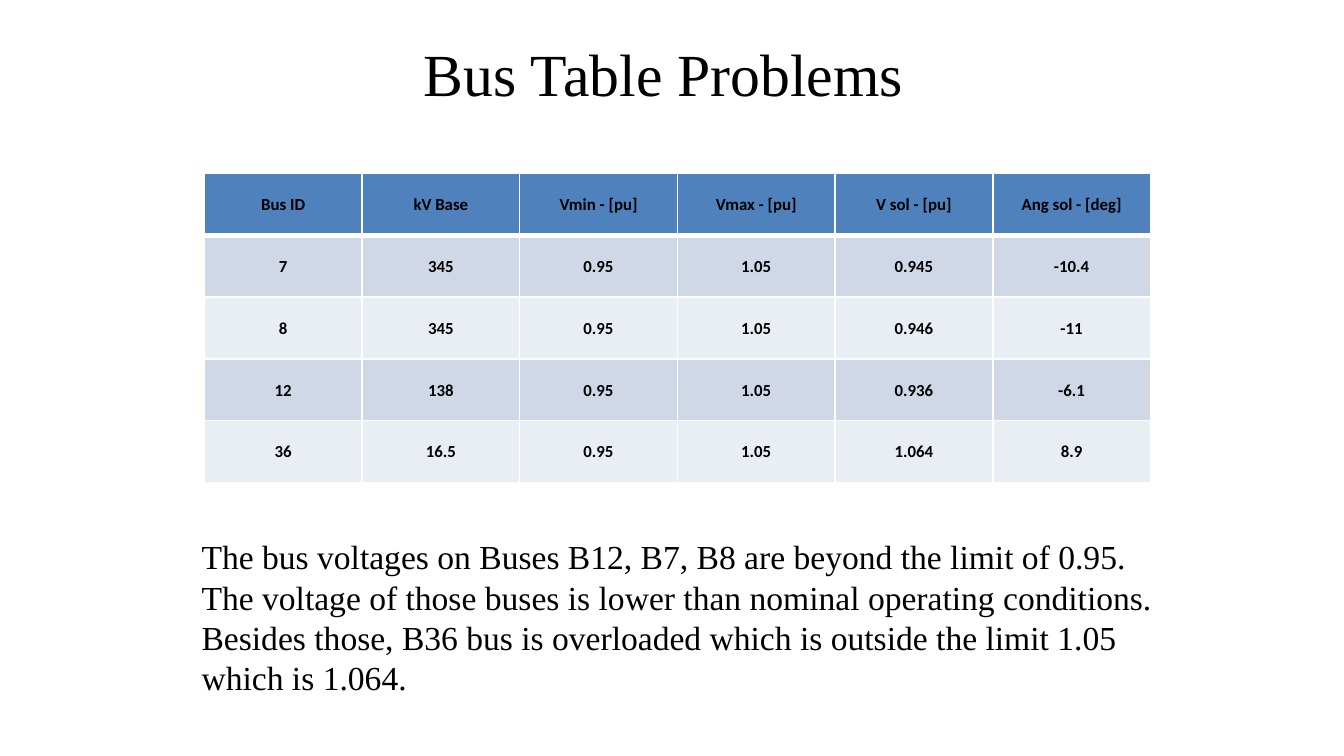
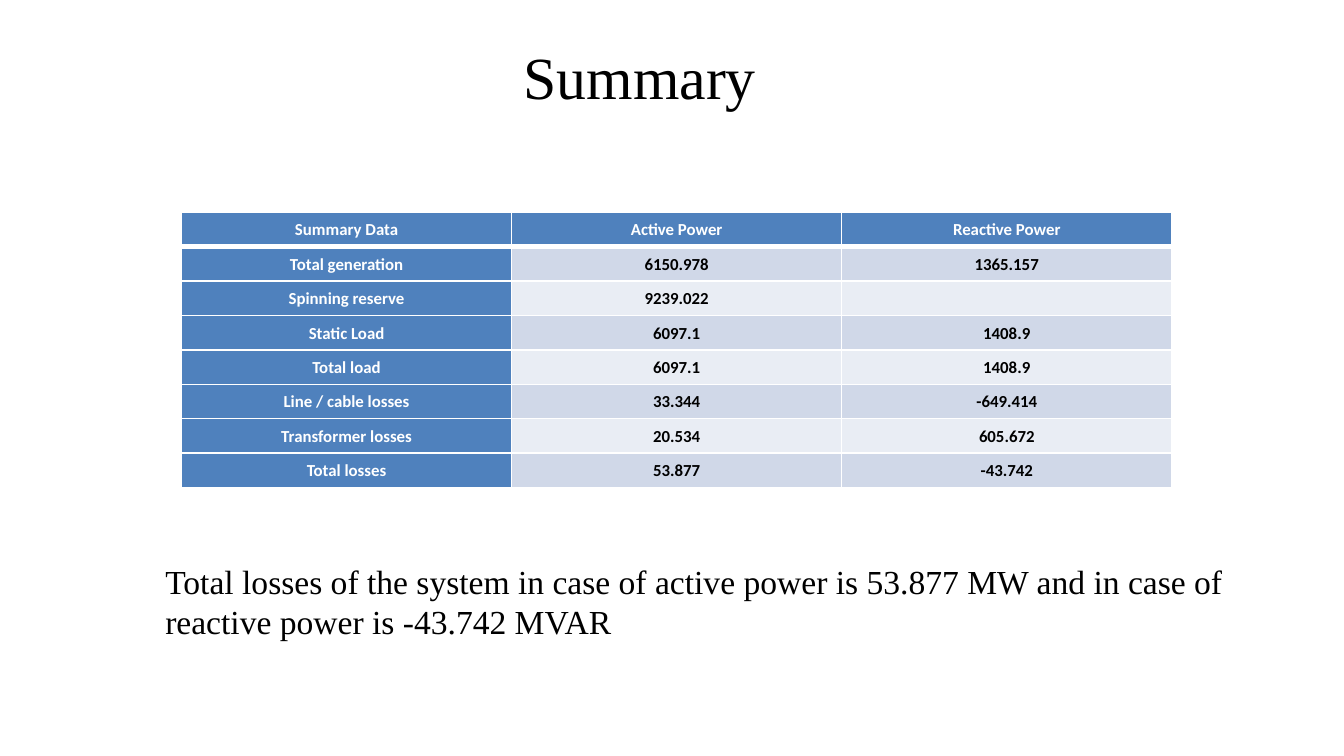
from dataclasses import dataclass

from lxml import etree
from pptx import Presentation
from pptx.dml.color import RGBColor
from pptx.enum.text import MSO_ANCHOR, MSO_AUTO_SIZE, PP_ALIGN
from pptx.oxml.ns import qn
from pptx.slide import Slide
from pptx.util import Inches, Pt

CENTER, LEFT = PP_ALIGN.CENTER, PP_ALIGN.LEFT
MIDDLE, TOP = MSO_ANCHOR.MIDDLE, MSO_ANCHOR.TOP
NO_FIT, GROW = MSO_AUTO_SIZE.NONE, MSO_AUTO_SIZE.SHAPE_TO_FIT_TEXT

SLIDE_WIDTH = Inches(10)
SLIDE_HEIGHT = SLIDE_WIDTH * 9 // 16
SERIF, SANS = "Times New Roman", "Calibri"
BLACK, WHITE = "000000", "FFFFFF"
HEADER_BLUE, BAND_DARK, BAND_LIGHT = "4F81BD", "D0D8E8", "E9EDF4"
TITLE_SIZE, BODY_SIZE, CELL_SIZE = 32, 18, 9
TITLE_ONLY, TITLE_AND_CONTENT = 5, 1


@dataclass(frozen=True)
class Box:
    left: float
    top: float
    width: float
    height: float

    def lengths(self) -> list:
        return [Inches(v) for v in (self.left, self.top, self.width, self.height)]


@dataclass(frozen=True)
class DataTable:
    box: Box
    rows: list
    side_margin: float
    header_color: str
    label_column: bool = False


BUS_TABLE = DataTable(
    Box(1.52, 1.29, 7.04, 2.3),
    [
        ["Bus ID", "kV Base", "Vmin - [pu]", "Vmax - [pu]", "V sol - [pu]", "Ang sol - [deg]"],
        ["7", "345", "0.95", "1.05", "0.945", "-10.4"],
        ["8", "345", "0.95", "1.05", "0.946", "-11"],
        ["12", "138", "0.95", "1.05", "0.936", "-6.1"],
        ["36", "16.5", "0.95", "1.05", "1.064", "8.9"],
    ],
    side_margin=0.06,
    header_color=BLACK,
)
SUMMARY_TABLE = DataTable(
    Box(1.35, 1.58, 7.37, 2.05),
    [
        ["Summary Data", "Active Power", "Reactive Power"],
        ["Total generation", "6150.978", "1365.157"],
        ["Spinning reserve", "9239.022", ""],
        ["Static Load", "6097.1", "1408.9"],
        ["Total load", "6097.1", "1408.9"],
        ["Line / cable losses", "33.344", "-649.414"],
        ["Transformer losses", "20.534", "605.672"],
        ["Total losses", "53.877", "-43.742"],
    ],
    side_margin=0.05,
    header_color=WHITE,
    label_column=True,
)
BUS_NOTE = (
    "The bus voltages on Buses B12, B7, B8 are beyond the limit of 0.95. "
    "The voltage of those buses is lower than nominal operating conditions. "
    "Besides those, B36 bus is overloaded which is outside the limit 1.05 which is 1.064."
)
SUMMARY_NOTE = (
    "Total losses of the system in case of active power is 53.877 MW "
    "and in case of reactive power is -43.742 MVAR"
)


def rgb(color: str) -> RGBColor:
    return RGBColor.from_string(color)


def style_paragraph(paragraph, font: str, size: float, color: str, align, bold: bool = False) -> None:
    paragraph.alignment = align
    paragraph.font.name = font
    paragraph.font.size = Pt(size)
    paragraph.font.bold = bold
    paragraph.font.color.rgb = rgb(color)


def place_text(shape, box: Box, text: str, size: float, align, anchor, fit) -> None:
    shape.left, shape.top, shape.width, shape.height = box.lengths()
    frame = shape.text_frame
    frame.word_wrap = True
    frame.auto_size = fit
    frame.vertical_anchor = anchor
    frame.text = text
    paragraph = frame.paragraphs[0]
    paragraph.space_before = Pt(0)
    if shape.is_placeholder:
        properties = paragraph._p.get_or_add_pPr()
        properties.set("marL", "0")
        properties.set("indent", "0")
        etree.SubElement(properties, qn("a:buNone"))
    style_paragraph(paragraph, SERIF, size, BLACK, align)


def add_titled_slide(deck, layout: int, title: str, box: Box) -> Slide:
    slide = deck.slides.add_slide(deck.slide_layouts[layout])
    place_text(slide.shapes.title, box, title, TITLE_SIZE, CENTER, MIDDLE, NO_FIT)
    return slide


def add_borders(cell, row: int) -> None:
    properties = cell._tc.get_or_add_tcPr()
    widths = {"L": 1, "R": 1, "T": 3 if row == 1 else 1, "B": 3 if row == 0 else 1}
    for side, width in widths.items():
        line = etree.SubElement(properties, qn(f"a:ln{side}"), w=str(Pt(width)))
        fill = etree.SubElement(line, qn("a:solidFill"))
        etree.SubElement(fill, qn("a:srgbClr"), val=WHITE)


def fill_cell(cell, text: str, row: int, fill: str, color: str, side_margin: float) -> None:
    add_borders(cell, row)
    cell.fill.solid()
    cell.fill.fore_color.rgb = rgb(fill)
    cell.vertical_anchor = MIDDLE
    cell.margin_left = cell.margin_right = Inches(side_margin)
    cell.margin_top = cell.margin_bottom = 0
    cell.text = text
    paragraph = cell.text_frame.paragraphs[0]
    paragraph.line_spacing = 1.07
    paragraph.space_after = Pt(8)
    style_paragraph(paragraph, SANS, CELL_SIZE, color, CENTER, bold=True)
    if not text:
        etree.SubElement(paragraph._p, qn("a:endParaRPr"), sz=str(CELL_SIZE * 100))


def add_data_table(slide: Slide, data: DataTable) -> None:
    row_count, column_count = len(data.rows), len(data.rows[0])
    table = slide.shapes.add_table(row_count, column_count, *data.box.lengths()).table
    table.first_col = data.label_column
    for column in table.columns:
        column.width = Inches(data.box.width / column_count)
    for r, values in enumerate(data.rows):
        table.rows[r].height = Inches(data.box.height / row_count)
        for c, value in enumerate(values):
            is_header = r == 0 or (data.label_column and c == 0)
            band = BAND_DARK if r % 2 else BAND_LIGHT
            fill = HEADER_BLUE if is_header else band
            color = data.header_color if is_header else BLACK
            fill_cell(table.cell(r, c), value, r, fill, color, data.side_margin)


def add_bus_slide(deck) -> None:
    slide = add_titled_slide(deck, TITLE_ONLY, "Bus Table Problems", Box(0.83, -0.18, 8.22, 1.44))
    add_data_table(slide, BUS_TABLE)
    note_box = Box(1.43, 3.95, 7.42, 1.29)
    note = slide.shapes.add_textbox(*note_box.lengths())
    place_text(note, note_box, BUS_NOTE, BODY_SIZE, LEFT, TOP, GROW)
    frame = note.text_frame
    frame.margin_left = frame.margin_right = Inches(0.07)
    frame.margin_top = frame.margin_bottom = Inches(0.04)


def add_summary_slide(deck) -> None:
    slide = add_titled_slide(deck, TITLE_AND_CONTENT, "Summary", Box(0.65, 0.12, 8.22, 0.88))
    note_box = Box(1.13, 4.12, 8.22, 0.98)
    place_text(slide.placeholders[1], note_box, SUMMARY_NOTE, BODY_SIZE, LEFT, TOP, NO_FIT)
    add_data_table(slide, SUMMARY_TABLE)


def main() -> None:
    """Build the bus voltage and summary slides."""
    deck = Presentation()
    deck.slide_width, deck.slide_height = SLIDE_WIDTH, SLIDE_HEIGHT
    add_bus_slide(deck)
    add_summary_slide(deck)
    deck.save("out.pptx")


if __name__ == "__main__":
    main()
